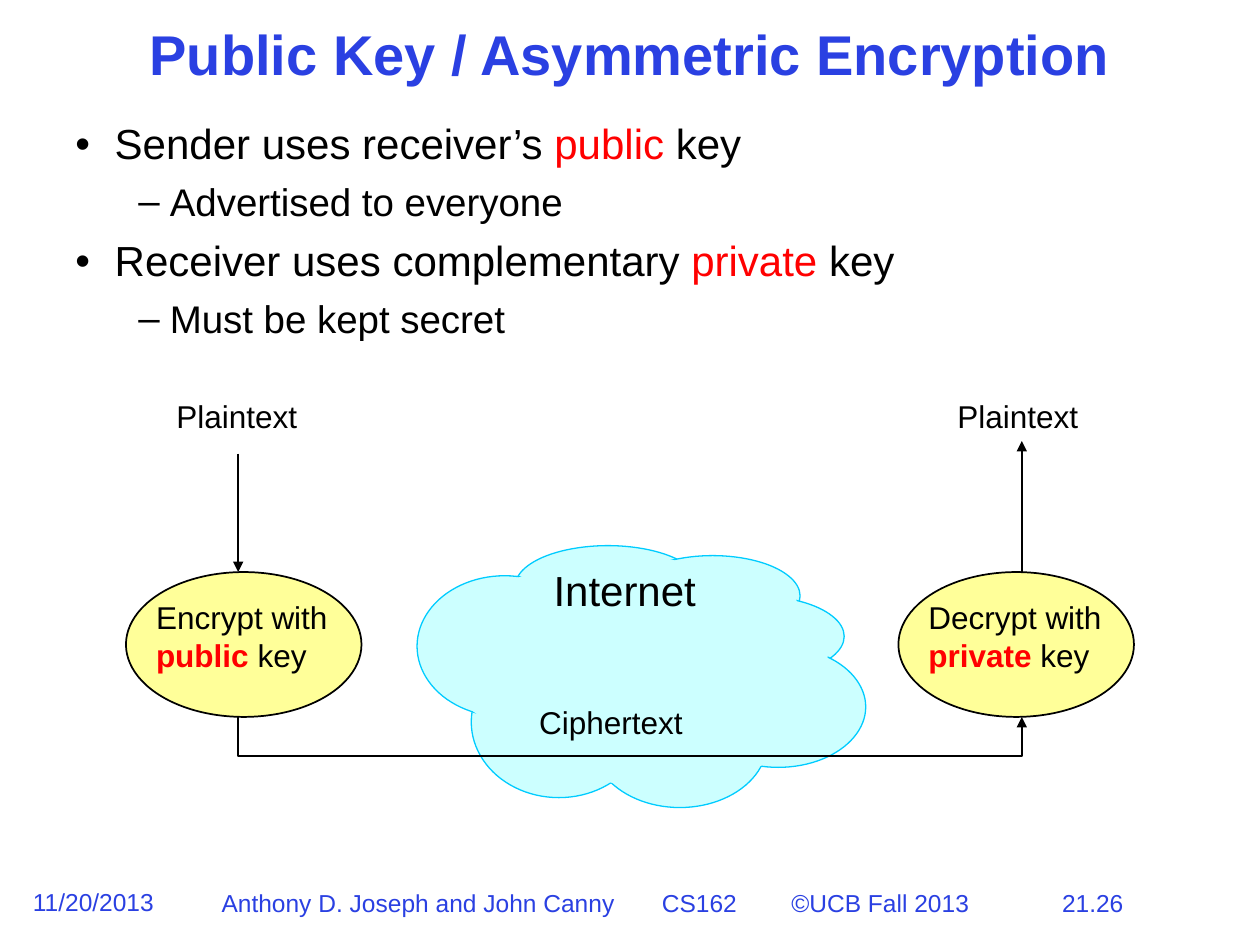
import pptx
import pptx.dml.color
import pptx.enum.shapes
import pptx.enum.text
import pptx.oxml.ns
import pptx.util
import lxml.etree

Pt = pptx.util.Pt
RGBColor = pptx.dml.color.RGBColor
qn = pptx.oxml.ns.qn
MSO_SHAPE = pptx.enum.shapes.MSO_SHAPE

BLUE = RGBColor(0x2A, 0x40, 0xE2)
BLACK = RGBColor(0, 0, 0)
RED = RGBColor(0xFF, 0, 0)
YELLOW = RGBColor(0xFF, 0xFF, 0x99)
PALE_CYAN = RGBColor(0xCC, 0xFF, 0xFF)
CYAN = RGBColor(0, 0xCC, 0xFF)


def add_run(paragraph, text, size, color=BLACK, bold=False):
    run = paragraph.add_run()
    run.text = text
    run.font.name = "Arial"
    run.font.size = Pt(size)
    run.font.bold = bold
    run.font.color.rgb = color


def add_ellipse(left, top, width, height, fill, outline, weight):
    ellipse = slide.shapes.add_shape(
        MSO_SHAPE.OVAL, Pt(left), Pt(top), Pt(width), Pt(height))
    ellipse.shadow.inherit = False
    ellipse.fill.solid()
    ellipse.fill.fore_color.rgb = fill
    ellipse.line.color.rgb = outline
    ellipse.line.width = Pt(weight)


deck = pptx.Presentation()
deck.slide_width, deck.slide_height = Pt(720), Pt(540)
slide = deck.slides.add_slide(deck.slide_layouts[5])

title = slide.shapes.title
title.left, title.top, title.width, title.height = Pt(78), Pt(11.8), Pt(564), Pt(41.8)
title.text_frame.auto_size = pptx.enum.text.MSO_AUTO_SIZE.NONE
title.text_frame.vertical_anchor = pptx.enum.text.MSO_ANCHOR.MIDDLE
heading = title.text_frame.paragraphs[0]
heading.alignment = pptx.enum.text.PP_ALIGN.CENTER
heading.line_spacing = 0.9
add_run(heading, "Public Key / Asymmetric Encryption", 32, BLUE, True)

points = [
    (0, [("Sender uses receiver’s ", BLACK), ("public", RED), (" key", BLACK)]),
    (1, [("Advertised to everyone", BLACK)]),
    (0, [("Receiver uses complementary ", BLACK), ("private", RED), (" key", BLACK)]),
    (1, [("Must be kept secret", BLACK)]),
]
levels = [(24, 9, "•", 22.5, -22.5), (22, 8.2, "–", 54, -18)]
body = slide.shapes.add_textbox(Pt(36), Pt(67), Pt(648), Pt(347)).text_frame
body.word_wrap = True
for index, (level, parts) in enumerate(points):
    size, space, bullet, margin, indent = levels[level]
    point = body.add_paragraph() if index else body.paragraphs[0]
    point.level = level
    point.line_spacing = 0.9
    point.space_before = Pt(space if index else 0)
    properties = point._p.get_or_add_pPr()
    properties.set("marL", str(Pt(margin)))
    properties.set("indent", str(Pt(indent)))
    lxml.etree.SubElement(properties, qn("a:buFont")).set("typeface", "Arial")
    lxml.etree.SubElement(properties, qn("a:buChar")).set("char", bullet)
    point.font.size = Pt(size)
    point.font.name = "Arial"
    for text, color in parts:
        add_run(point, text, size, color)
    lxml.etree.SubElement(point._p, qn("a:endParaRPr")).set("sz", str(size * 100))

for left in (72, 513.4):
    add_ellipse(left, 326.9, 134.6, 82.8, YELLOW, BLACK, 1)

cloud_puffs = [
    (294.5, 311.8, 105.8, 46.1), (357.1, 317.5, 100.1, 46.1),
    (382.3, 340.6, 100.1, 46.1), (394.6, 369.4, 100.1, 69.1),
    (338.4, 386.6, 100.1, 74.9), (269.3, 369.4, 100.1, 86.4),
    (238.3, 329, 100.1, 80.6),
]
for puff in cloud_puffs:
    add_ellipse(*puff, PALE_CYAN, CYAN, 0.75)

cloud_core = [
    (270, 340.6), (313.2, 323.3), (350.6, 317.5), (425.5, 323.3),
    (450.7, 334.8), (463, 357.8), (475.2, 363.6), (463, 427.7),
    (381.6, 456.5), (301, 433.4), (275.8, 410.4), (265.5, 403),
]
outline = slide.shapes.build_freeform(Pt(cloud_core[0][0]), Pt(cloud_core[0][1]))
outline.add_line_segments([(Pt(x), Pt(y)) for x, y in cloud_core[1:]], close=True)
core = outline.convert_to_shape()
core.shadow.inherit = False
core.fill.solid()
core.fill.fore_color.rgb = PALE_CYAN
core.line.fill.background()

sender_x, receiver_x = 136.1, 583.9
plaintext_in = slide.shapes.add_connector(
    pptx.enum.shapes.MSO_CONNECTOR.STRAIGHT,
    Pt(sender_x), Pt(259.2), Pt(sender_x), Pt(326.9))
plaintext_out = slide.shapes.add_connector(
    pptx.enum.shapes.MSO_CONNECTOR.STRAIGHT,
    Pt(receiver_x), Pt(326.9), Pt(receiver_x), Pt(252))
route = slide.shapes.build_freeform(Pt(sender_x), Pt(409.7))
route.add_line_segments(
    [(Pt(sender_x), Pt(432)), (Pt(receiver_x), Pt(432)), (Pt(receiver_x), Pt(409.7))],
    close=False)
ciphertext_route = route.convert_to_shape()
ciphertext_route.fill.background()
ciphertext_route.shadow.inherit = False
for arrow in (plaintext_in, plaintext_out, ciphertext_route):
    arrow.line.color.rgb = BLACK
    arrow.line.width = Pt(1)
    properties = arrow._element.spPr
    lxml.etree.SubElement(properties.find(qn("a:ln")), qn("a:tailEnd")).set("type", "triangle")
    if properties.find(qn("a:effectLst")) is None:
        lxml.etree.SubElement(properties, qn("a:effectLst"))

labels = [
    (309.2, 319, 98, 36, 24, [[("Internet", BLACK, False)]]),
    (82.1, 338.4, 118, 50.4, 18, [[("Encrypt with", BLACK, False)],
                                  [("public", RED, True), (" key", BLACK, False)]]),
    (523.4, 338.4, 118, 50.4, 18, [[("Decrypt with", BLACK, False)],
                                   [("private", RED, True), (" key", BLACK, False)]]),
    (93.8, 223.2, 86, 28.8, 18, [[("Plaintext", BLACK, False)]]),
    (540, 223.2, 86, 28.8, 18, [[("Plaintext", BLACK, False)]]),
    (301, 398.2, 99, 28.8, 18, [[("Ciphertext", BLACK, False)]]),
    (599.8, 504, 97.9, 23.8, 14, [[("21.26", BLUE, False)]]),
    (11.7, 503.3, 88, 23.8, 14, [[("11/20/2013", BLUE, False)]]),
]
for left, top, width, height, size, lines in labels:
    label = slide.shapes.add_textbox(Pt(left), Pt(top), Pt(width), Pt(height)).text_frame
    label.word_wrap = False
    for index, parts in enumerate(lines):
        line = label.add_paragraph() if index else label.paragraphs[0]
        for text, color, bold in parts:
            add_run(line, text, size, color, bold)

footer = slide.shapes.add_textbox(Pt(119.5), Pt(504), Pt(450), Pt(23.8)).text_frame
footer.word_wrap = True
credits = footer.paragraphs[0]
tab_list = lxml.etree.SubElement(credits._p.get_or_add_pPr(), qn("a:tabLst"))
for position in (251.6, 325.6):
    tab = lxml.etree.SubElement(tab_list, qn("a:tab"))
    tab.set("pos", str(Pt(position)))
    tab.set("algn", "l")
add_run(credits, "Anthony D. Joseph and John Canny\tCS162\t©UCB Fall 2013", 14, BLUE)

deck.save("out.pptx")
